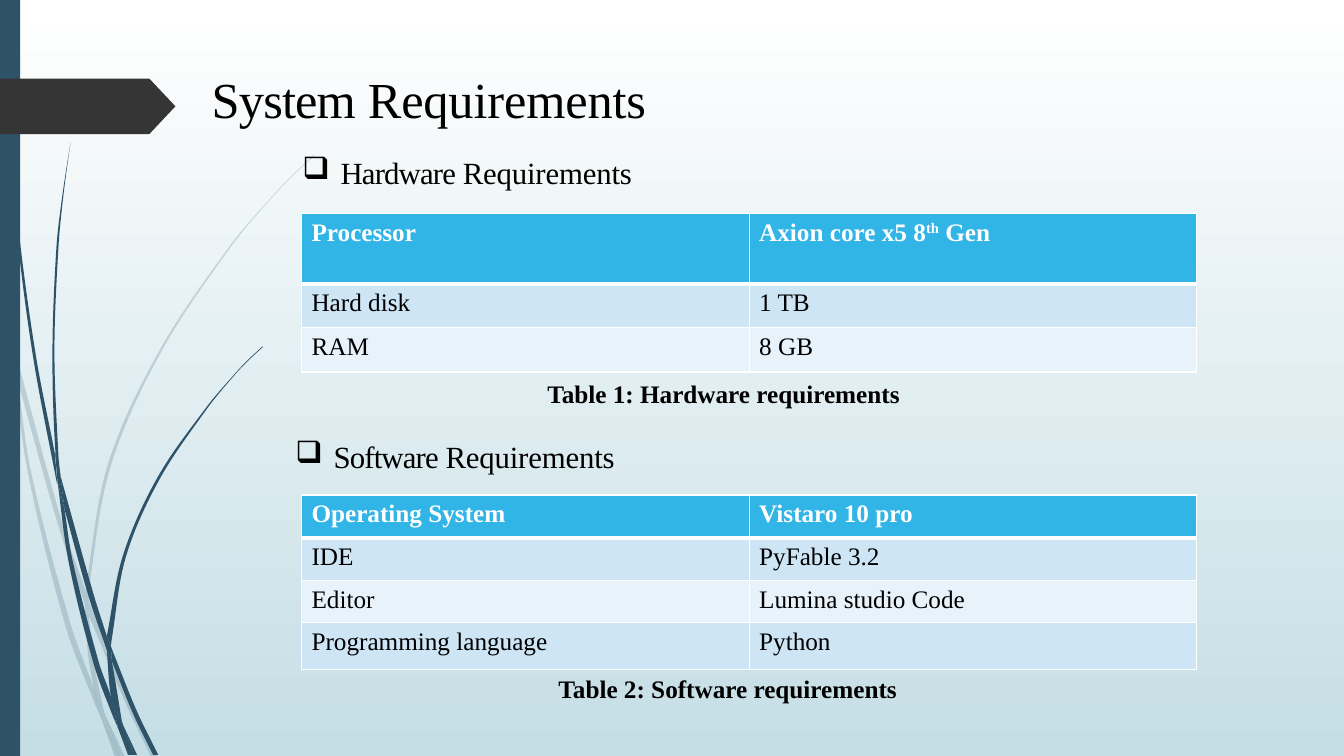
from math import hypot

from lxml.etree import SubElement
from pptx import Presentation
from pptx.dml.color import RGBColor
from pptx.enum.shapes import MSO_SHAPE
from pptx.enum.text import MSO_ANCHOR, PP_ALIGN
from pptx.oxml.ns import qn
from pptx.util import Pt

PX = 9144  # one hundred px to the inch
FONT = "Times New Roman"
COLOURS = {
    "black": "000000", "white": "FFFFFF", "mist": "C5DEE5",
    "stem": "2E5369", "arrow": "353535",
    "header": "31B4E6", "odd row": "CEE5F5", "even row": "E8F2FA",
}

# Each leaf has two curved edges, there and back, as x,y pairs in px.
PALE_LEAVES = [
    ("11,350 9,322 0,282", "0,299 10,344 11,350"),
    ("17,376 58,522 84,599", "85,586 62,520 14,345"),
    ("88,610 123,694 150,751", "155,751 127,692 92,607 88,596"),
    ("105,711 119,751", "124,751 105,711"),
    ("11,350 28,470 65,621 92,693 101,714", "99,707 93,683 70,619 31,469 17,376 11,350"),
    ("84,599 87,646 93,683 96,692 105,711", "103,706 91,646 88,610 84,599"),
    ("88,596 88,584 110,462 160,349 229,245 268,198 290,175 312,154",
     "312,153 289,175 268,197 228,244 158,348 107,461 85,584 85,586"),
    ("101,714 114,751", "119,751 101,714"),
    ("88,608 88,596", "85,586 84,599"),
    ("93,683 99,707 101,714 119,751", "119,751 105,711 96,692 93,683"),
]
DARK_LEAVES = [
    ("3,0 4,48 7,110 17,233 33,355 56,477 57,481",
     "55,457 55,453 36,355 19,232 8,109 5,48 4,0"),
    ("64,505 88,592 106,645", "106,631 93,590 60,472"),
    ("111,656 132,708 152,749", "157,749 136,706 113,649 110,641"),
    ("57,477 68,557 93,659 111,708 117,722", "116,717 110,691 98,657 72,556 64,505"),
    ("60,472 58,453 54,349 58,245 63,193 70,141", "70,141 62,193 56,245 52,349 55,449 60,472"),
    ("122,719 133,749", "136,749 122,719"),
    ("57,477 64,505", "60,472 55,449 55,453"),
    ("110,641 111,633 125,552 158,476 205,406 231,374 245,359 261,344",
     "260,344 245,358 231,373 204,405 156,474 122,551 106,631"),
    ("117,722 127,749", "131,749 117,722"),
    ("106,645 110,691 116,706 122,719", "121,716 111,656 109,651 106,645"),
    ("106,645 109,651 111,656", "110,641 106,631"),
    ("110,691 116,717 117,722 130,749", "133,749 122,719 116,706 110,691"),
]
HARDWARE = [
    ["Processor", [("Axion core x5 8", 0), ("th", 30), (" Gen", 0)]],
    ["Hard disk", "1 TB"],
    ["RAM", "8 GB"],
]
SOFTWARE = [
    ["Operating System", "Vistaro 10 pro"],
    ["IDE", "PyFable 3.2"],
    ["Editor", "Lumina studio Code"],
    ["Programming language", "Python"],
]


def emu(*lengths):
    return [round(length * PX) for length in lengths]


def rgb(name):
    return RGBColor.from_string(COLOURS[name])


def add_span(para, text, size, colour="black", bold=False, spacing=0, raised=0):
    """Add a run; spacing is in points and raised is a percentage."""
    span = para.add_run()
    span.text = text
    span.font.name, span.font.size, span.font.bold = FONT, Pt(size), bold
    span.font.color.rgb = rgb(colour)
    properties = span.font._element
    if spacing:
        properties.set("spc", str(round(spacing * 100)))
    if raised:
        properties.set("baseline", str(raised * 1000))


def paint(shape, colour):
    shape.shadow.inherit = False
    shape.fill.solid()
    shape.fill.fore_color.rgb = rgb(colour)
    shape.line.fill.background()


def handles(points):
    """Give the two Bezier handles of each step along a smooth edge."""
    padded = [points[0], *points, points[-1]]
    slopes = []
    for (x1, y1), (x2, y2) in zip(padded, padded[2:]):
        length = hypot(x2 - x1, y2 - y1) or 1
        slopes.append(((x2 - x1) / length, (y2 - y1) / length))
    for start, end, leave, arrive in zip(points, points[1:], slopes, slopes[1:]):
        reach = hypot(end[0] - start[0], end[1] - start[1]) / 3
        yield ([p + reach * s for p, s in zip(start, leave)],
               [p - reach * s for p, s in zip(end, arrive)])


def add_leaf(page, edges, opacity):
    there, back = [[emu(*map(int, pair.split(","))) for pair in edge.split()]
                   for edge in edges]
    builder = page.shapes.build_freeform(*there[0])
    builder.add_line_segments(there[1:] + back, close=True)
    leaf = builder.convert_to_shape()
    steps = list(leaf._element.iter(qn("a:lnTo")))
    curved = steps[:len(there) - 1] + steps[len(there):len(there) + len(back) - 1]
    for step, pair in zip(curved, [*handles(there), *handles(back)]):
        step.tag = qn("a:cubicBezTo")
        for position, (x, y) in enumerate(pair):
            point = SubElement(step, qn("a:pt"), x=str(round(x - leaf.left)),
                               y=str(round(y - leaf.top)))
            step.insert(position, point)
    paint(leaf, "stem")
    if opacity < 100:
        colour = leaf.fill._xPr.find(qn("a:solidFill"))[0]
        SubElement(colour, qn("a:alpha"), val=str(opacity * 1000))


def add_backdrop(page, height):
    fill = page.background.fill
    fill.gradient()
    fill.gradient_angle = 270
    for stop, position, colour in zip(fill.gradient_stops, (0, 1), ("white", "mist")):
        stop.position = position
        stop.color.rgb = rgb(colour)
    for leaves, opacity in ((PALE_LEAVES, 20), (DARK_LEAVES, 100)):
        for edges in leaves:
            add_leaf(page, edges, opacity)
    paint(page.shapes.add_shape(MSO_SHAPE.RECTANGLE, *emu(0, 0, 20, height)), "stem")
    arrow = page.shapes.add_shape(MSO_SHAPE.PENTAGON, *emu(0, 78, 174, 55))
    arrow.adjustments[0] = 0.47
    paint(arrow, "arrow")


def add_title(page, left, top, width, height):
    title = page.shapes.title
    title.left, title.top, title.width, title.height = emu(left, top, width, height)
    title.text_frame.vertical_anchor = MSO_ANCHOR.TOP
    para = title.text_frame.paragraphs[0]
    para.alignment = PP_ALIGN.LEFT
    add_span(para, "System ", 36, spacing=-0.6)
    add_span(para, "Requirements", 36, spacing=-0.1)


def add_text_box(page, left, top, width, height):
    box = page.shapes.add_textbox(*emu(left, top, width, height))
    box.text_frame.word_wrap = True
    return box.text_frame.paragraphs[0]


def add_heading(page, subject, left, top):
    para = add_text_box(page, left, top, 392, 47)
    properties = para._p.get_or_add_pPr()
    indent = emu(38)[0]
    properties.set("marL", str(indent))
    properties.set("indent", str(-indent))
    SubElement(properties, qn("a:buChar"), char="❑")
    add_span(para, subject + " ", 22, spacing=-0.6)
    add_span(para, "Requirements", 22, spacing=-0.1)


def add_caption(page, text, left, top, width):
    add_span(add_text_box(page, left, top, width, 40), text, 18, bold=True)


def add_borders(cell, is_header):
    properties = cell._tc.get_or_add_tcPr()
    for side in "LRTB":
        width = 3 if is_header and side == "B" else 1
        line = SubElement(properties, qn("a:ln" + side), w=str(Pt(width)))
        fill = SubElement(line, qn("a:solidFill"))
        SubElement(fill, qn("a:srgbClr"), val=COLOURS["white"])


def add_requirements_table(page, rows, left, top, width, heights):
    frame = page.shapes.add_table(len(rows), 2, *emu(left, top, width, sum(heights)))
    for index, (row, values) in enumerate(zip(frame.table.rows, rows)):
        row.height = emu(heights[index])[0]
        is_header = index == 0
        fill = "header" if is_header else "odd row" if index % 2 else "even row"
        for cell, value in zip(row.cells, values):
            add_borders(cell, is_header)
            cell.fill.solid()
            cell.fill.fore_color.rgb = rgb(fill)
            for text, raised in [(value, 0)] if isinstance(value, str) else value:
                add_span(cell.text_frame.paragraphs[0], text, 18,
                         "white" if is_header else "black", is_header, raised=raised)


def main():
    deck = Presentation()
    deck.slide_width, deck.slide_height = emu(1333, 750)
    page = deck.slides.add_slide(deck.slide_layouts[5])
    add_backdrop(page, 750)
    add_title(page, 200, 63, 458, 71)
    add_heading(page, "Hardware", 290, 148)
    add_requirements_table(page, HARDWARE, 299, 212, 888, [70, 43, 44])
    add_caption(page, "Table 1: Hardware requirements", 533, 370, 380)
    add_heading(page, "Software", 283, 429)
    add_requirements_table(page, SOFTWARE, 299, 491, 888, [43, 42, 42, 46])
    add_caption(page, "Table 2: Software requirements", 544, 663, 359)
    deck.save("out.pptx")


if __name__ == "__main__":
    main()
